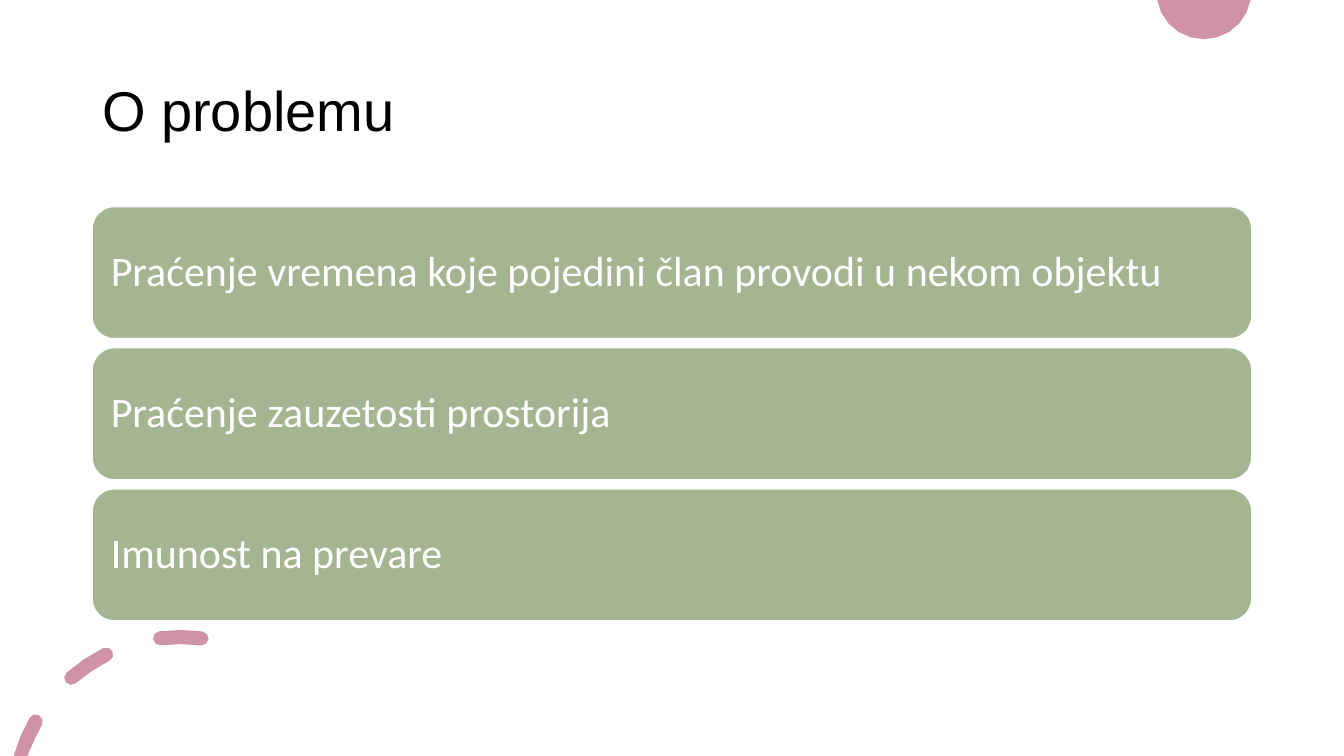
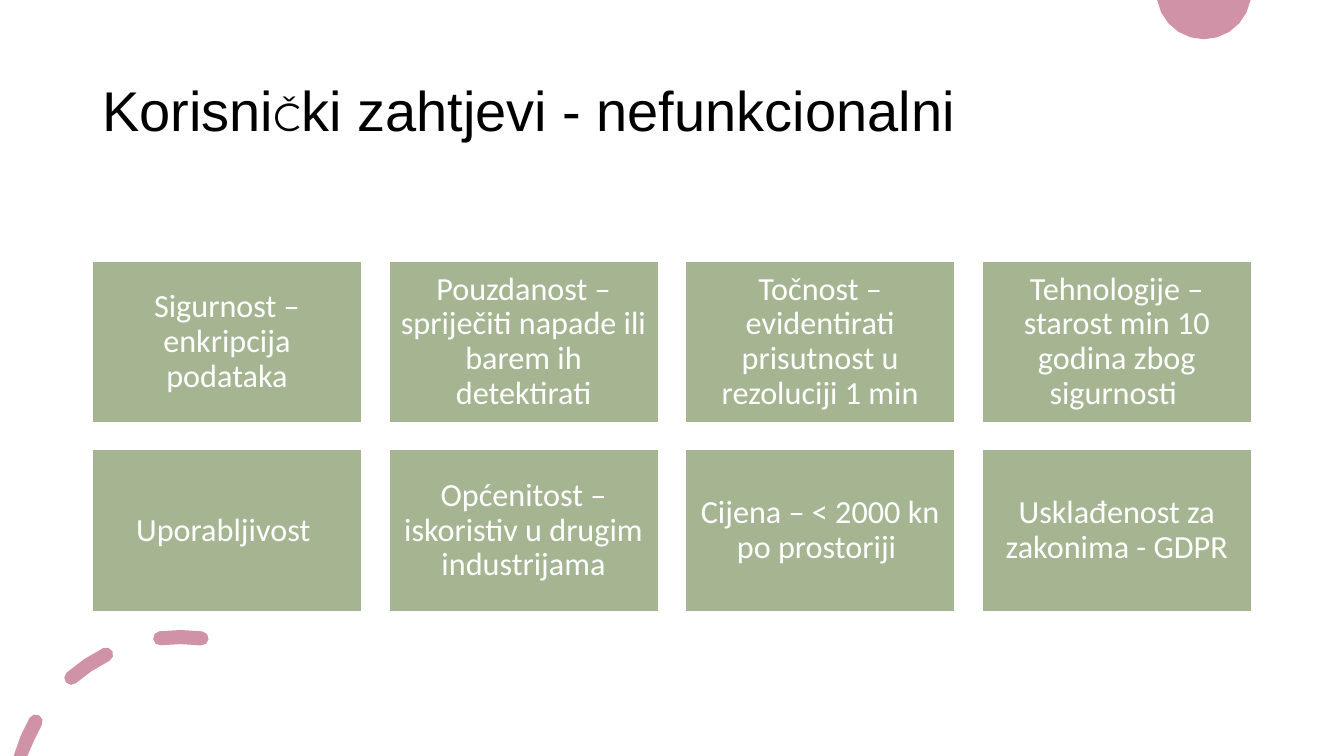
from math import cos, radians, sin

from pptx import Presentation
from pptx.dml.color import RGBColor
from pptx.enum.shapes import MSO_SHAPE
from pptx.enum.text import MSO_ANCHOR, PP_ALIGN
from pptx.util import Inches, Pt

GREEN = RGBColor(0xA5, 0xB5, 0x92)
PINK = RGBColor(0xD0, 0x92, 0xA7)
WHITE = RGBColor(0xFF, 0xFF, 0xFF)
BLACK = RGBColor(0x00, 0x00, 0x00)
RECT, ROUNDED = MSO_SHAPE.RECTANGLE, MSO_SHAPE.ROUNDED_RECTANGLE
LEFT, CENTER = PP_ALIGN.LEFT, PP_ALIGN.CENTER
MIDDLE = MSO_ANCHOR.MIDDLE

SLIDE_W, SLIDE_H = 13.33, 7.5
CONTENT_W = 11.5
MARGIN = (SLIDE_W - CONTENT_W) / 2
CELL_W = CONTENT_W / 4.3
DASHES = [(-74, -60.5), (-41, -26.5), (-7, 7.3)]


def arc(cx, cy, radius, start, end, steps):
    angles = [radians(start + (end - start) * i / steps) for i in range(steps + 1)]
    return [(cx + radius * sin(a), cy - radius * cos(a)) for a in angles]


def dash(start, end, cx=1.79, cy=7.97, radius=1.65, half=0.07):
    (x0, y0), (x1, y1) = arc(cx, cy, radius, start, end, 1)
    return (arc(cx, cy, radius + half, start, end, 2)
            + arc(x1, y1, half, end, end + 180, 4)[1:-1]
            + arc(cx, cy, radius - half, end, start, 2)
            + arc(x0, y0, half, start + 180, start + 360, 4)[1:-1])


class Deck:
    """Holds the shared style and the current slide."""

    def __init__(self):
        self.prs = Presentation()
        self.prs.slide_width = Inches(SLIDE_W)
        self.prs.slide_height = Inches(SLIDE_H)
        self.s = None

    def slide(self, *title_runs):
        self.s = self.prs.slides.add_slide(self.prs.slide_layouts[6])
        self.outline([arc(11.94, -0.08, 0.47, 100, 260, 10)])
        self.outline([dash(start, end) for start, end in DASHES])
        self.title(title_runs)

    def outline(self, contours):
        builder = None
        for contour in contours:
            points = [(Inches(x), Inches(min(max(y, 0), SLIDE_H))) for x, y in contour]
            if builder is None:
                builder = self.s.shapes.build_freeform(*points[0])
            else:
                builder.move_to(*points[0])
            builder.add_line_segments(points[1:], close=True)
        sp = builder.convert_to_shape()
        self.paint(sp, PINK)
        sp.line.fill.background()

    def paint(self, sp, color):
        sp.shadow.inherit = False
        sp.fill.solid()
        sp.fill.fore_color.rgb = color

    def text(self, tf, runs, color, align):
        tf.word_wrap = True
        tf.vertical_anchor = MIDDLE
        p = tf.paragraphs[0]
        p.alignment = align
        p.line_spacing = 0.9
        for text, font, size in runs:
            r = p.add_run()
            r.text = text
            r.font.name = font
            r.font.size = Pt(size)
            r.font.color.rgb = color

    def title(self, runs):
        sp = self.s.shapes.add_textbox(Inches(MARGIN), Inches(0.4),
                                       Inches(CONTENT_W), Inches(1.45))
        self.text(sp.text_frame, runs, BLACK, LEFT)

    def box(self, kind, x, y, w, h, text, size, inset, align):
        sp = self.s.shapes.add_shape(kind, Inches(x), Inches(y), Inches(w), Inches(h))
        self.paint(sp, GREEN)
        sp.line.color.rgb = WHITE
        sp.line.width = Pt(1)
        tf = sp.text_frame
        tf.margin_left = tf.margin_right = Inches(inset)
        tf.margin_top = tf.margin_bottom = Inches(inset)
        self.text(tf, [(text, "Calibri", size)], WHITE, align)

    def grid(self, texts, cols, top, width, height, gap, kind, size, inset, align):
        for i, text in enumerate(texts):
            row, col = divmod(i, cols)
            self.box(kind, MARGIN + col * (width + gap), top + row * (height + gap),
                     width, height, text, size, inset, align)


def main():
    deck = Deck()

    deck.slide(("O problemu", "Arial", 40))
    deck.grid(["Praćenje vremena koje pojedini član provodi u nekom objektu",
               "Praćenje zauzetosti prostorija",
               "Imunost na prevare"],
              cols=1, top=2.05, width=CONTENT_W, height=1.31, gap=0.09,
              kind=ROUNDED, size=30, inset=0.12, align=LEFT)

    deck.slide(("Korisni", "Arial", 40), ("Č", "Montserrat", 28),
               ("ki zahtjevi - nefunkcionalni", "Arial", 40))
    deck.grid(["Sigurnost – enkripcija podataka",
               "Pouzdanost – spriječiti napade ili barem ih detektirati",
               "Točnost – evidentirati prisutnost u rezoluciji 1 min",
               "Tehnologije – starost min 10 godina zbog sigurnosti ",
               "Uporabljivost ",
               "Općenitost – iskoristiv u drugim industrijama",
               "Cijena – < 2000 kn po prostoriji ",
               "Usklađenost za zakonima - GDPR"],
              cols=4, top=2.59, width=CELL_W, height=0.6 * CELL_W, gap=0.1 * CELL_W,
              kind=RECT, size=23, inset=0.1, align=CENTER)

    deck.prs.save("out.pptx")


if __name__ == "__main__":
    main()
